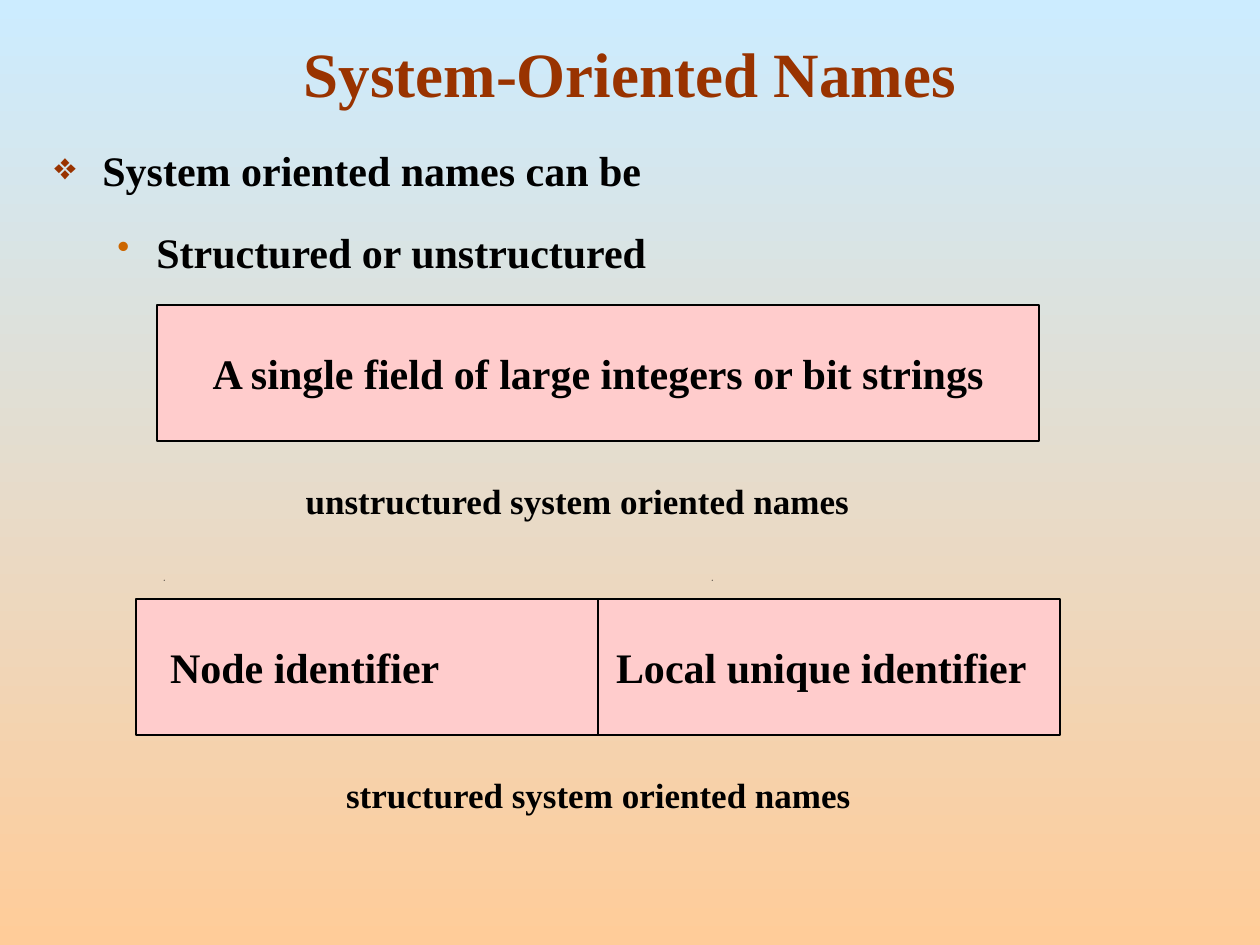
"""Build the System-Oriented Names slide."""
from lxml.etree import SubElement as Sub
from pptx import Presentation
from pptx.dml.color import RGBColor as RGB
from pptx.enum.shapes import MSO_CONNECTOR as Link, MSO_SHAPE as Kind
from pptx.enum.text import MSO_ANCHOR as Anchor, PP_ALIGN as Align
from pptx.oxml.ns import qn
from pptx.util import Emu, Pt

SCALE = 914400 / 126
INK, RUST, PINK = "000000", "993300", "FFCCCC"


def px(num):
    return Emu(round(num * SCALE))


def write(para, text, size, tint=INK, align=Align.CENTER):
    para.text = text
    para.alignment = align
    look = {"name": "Times New Roman", "size": Pt(size), "bold": True}
    for key, val in look.items():
        setattr(para.runs[0].font, key, val)
    para.runs[0].font.color.rgb = RGB.from_string(tint)


deck = Presentation()
deck.slide_width, deck.slide_height = px(1260), px(945)
slide = deck.slides.add_slide(deck.slide_layouts[6])
shapes = slide.shapes

back = slide.background.fill
back.gradient()
back.gradient_angle = 270
for stop, tint in zip(back.gradient_stops, ("CCECFF", "FFCC99")):
    stop.color.rgb = RGB.from_string(tint)

for left in (164, 712):
    pen = shapes.build_freeform(px(left), px(580), scale=1.0)
    pen.add_line_segments([(px(left + 1), px(580)), (px(left), px(581))])
    dot = pen.convert_to_shape()
    dot.shadow.inherit = False
    dot.fill.solid()
    dot.fill.fore_color.rgb = RGB.from_string(INK)
    dot.line.fill.background()

body = shapes.add_textbox(px(42), px(126), px(1135), px(713)).text_frame
body.word_wrap = True
points = [
    ("System oriented names can be", "❖", RUST, 90, 48, 48, 0),
    ("Structured or unstructured", "•", "CC6600", 85, 102, 39, 10.5),
]
for num, (text, mark, tint, size, left, hang, gap) in enumerate(points):
    para = body.add_paragraph() if num else body.paragraphs[0]
    para.level = num
    prop = para._p.get_or_add_pPr()
    prop.set("marL", str(px(left)))
    prop.set("indent", str(-px(hang)))
    Sub(Sub(prop, qn("a:buClr")), qn("a:srgbClr"), val=tint)
    Sub(prop, qn("a:buSzPct"), val=str(size * 1000))
    Sub(prop, qn("a:buChar"), char=mark)
    para.line_spacing = 1.25
    para.space_before = Pt(gap)
    write(para, text, 24, align=Align.JUSTIFY)

labels = [
    ("System-Oriented Names", 0, 0, 1260, 116, 36, RUST, Anchor.BOTTOM),
    ("unstructured system oriented names", 252, 473, 651, 55, 20, INK, Anchor.TOP),
    ("structured system oriented names", 273, 767, 651, 55, 20, INK, Anchor.TOP),
]
for text, left, top, wide, high, size, tint, anchor in labels:
    frame = shapes.add_textbox(px(left), px(top), px(wide), px(high)).text_frame
    frame.word_wrap = True
    frame.vertical_anchor = anchor
    write(frame.paragraphs[0], text, size, tint)

fields = [
    ("A single field of large integers or bit strings", 157, 305, 882, 13, Align.CENTER),
    ("Node identifier\tLocal unique identifier", 136, 599, 924, 34, Align.LEFT),
]
for text, left, top, wide, inset, align in fields:
    box = shapes.add_shape(Kind.RECTANGLE, px(left), px(top), px(wide), px(136))
    box.shadow.inherit = False
    box.fill.solid()
    box.fill.fore_color.rgb = RGB.from_string(PINK)
    box.line.color.rgb = RGB.from_string(INK)
    box.line.width = Pt(0.75)
    frame = box.text_frame
    frame.word_wrap = True
    frame.vertical_anchor = Anchor.MIDDLE
    frame.margin_left = px(inset)
    para = frame.paragraphs[0]
    if "\t" in text:
        tabs = Sub(para._p.get_or_add_pPr(), qn("a:tabLst"))
        Sub(tabs, qn("a:tab"), pos=str(px(446)), algn="l")
    write(para, text, 24, align=align)

rule = shapes.add_connector(Link.STRAIGHT, px(598), px(599), px(598), px(735))
rule.line.color.rgb = RGB.from_string(INK)
rule.line.width = Pt(0.75)
Sub(rule._element.spPr, qn("a:effectLst"))

deck.save("out.pptx")
